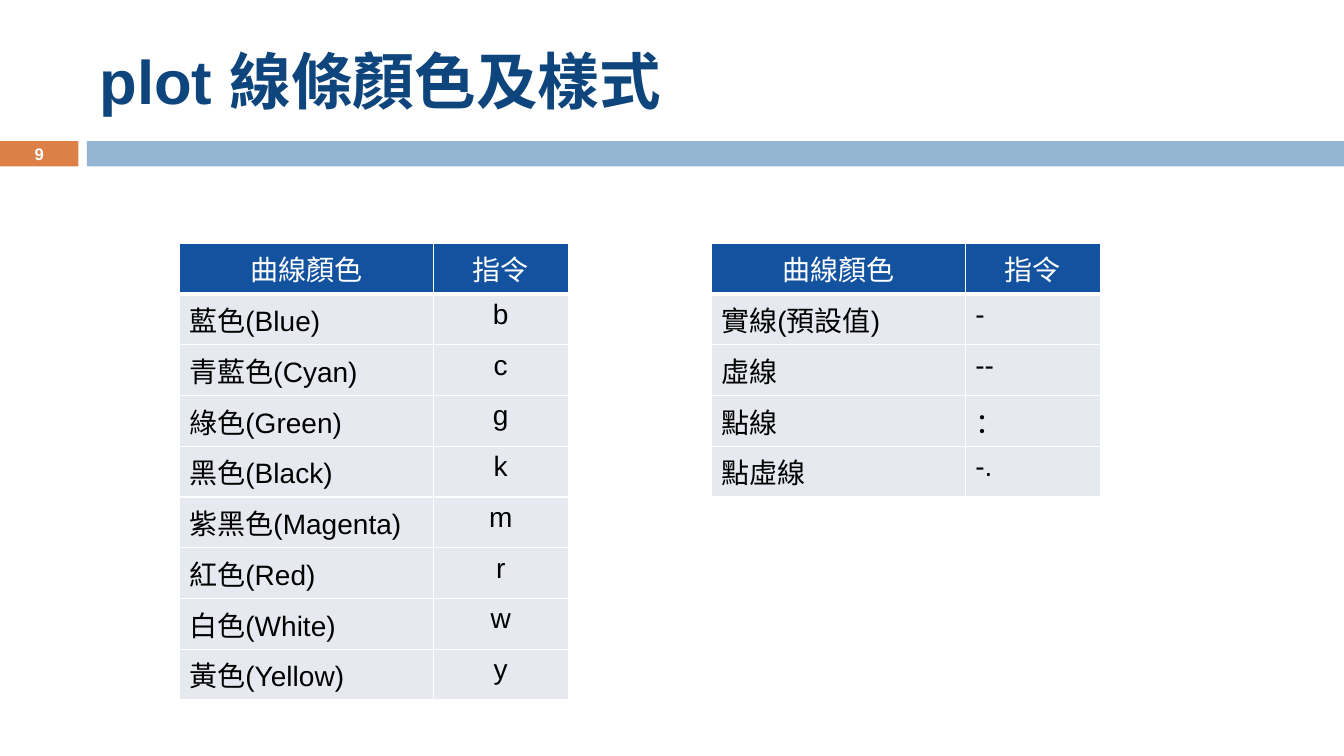
from lxml import etree
from pptx import Presentation
from pptx import util as u
from pptx.dml.color import RGBColor
from pptx.enum import shapes, text
from pptx.oxml.ns import qn

COLORS = {"orange": "DD8047", "sky": "94B6D2", "title": "0E457D", "head": "12529F",
          "body": "E7E9F0", "white": "FFFFFF", "black": "000000"}
LEFT, CENTER = text.PP_ALIGN.LEFT, text.PP_ALIGN.CENTER

prs = Presentation()
prs.slide_width, prs.slide_height = u.Inches(13.33), u.Inches(7.5)
COL, ROW = prs.slide_width / 120, prs.slide_height / 60
s = prs.slides.add_slide(prs.slide_layouts[6])


def grid(left, top, width, height):
    """Turn grid columns and rows into slide lengths."""
    return int(left * COL), int(top * ROW), int(width * COL), int(height * ROW)


def write(tf, words, size, color, align=LEFT, bold=False, before=0):
    p = tf.paragraphs[0]
    p.alignment, p.space_before = align, u.Pt(before)
    r = p.add_run()
    r.text = words
    for name, value in {"name": "Arial", "size": u.Pt(size), "bold": bold}.items():
        setattr(r.font, name, value)
    r.font.color.rgb = RGBColor.from_string(COLORS[color])


# Band under the title
for left, width, color in [(0, 7, "orange"), (7.75, 112.25, "sky")]:
    sp = s.shapes.add_shape(shapes.MSO_SHAPE.RECTANGLE, *grid(left, 11.2, width, 2))
    sp.shadow.inherit = False
    sp.fill.solid()
    sp.fill.fore_color.rgb = RGBColor.from_string(COLORS[color])
    sp.line.fill.background()

# Title and page number
for box, words, size, color, align in [
    ((8, 2, 107, 8.64), "plot 線條顏色及樣式", 44, "title", LEFT),
    ((0, 11.12, 7, 2.16), "9", 11.9, "white", CENTER),
]:
    tf = s.shapes.add_textbox(*grid(*box)).text_frame
    tf.word_wrap = True
    tf.vertical_anchor = text.MSO_ANCHOR.MIDDLE
    write(tf, words, size, color, align, bold=True)

# Tables: left column, alignment of the commands, body rows
HEADER = ("曲線顏色", "指令")
line_colors = [("藍色(Blue)", "b"), ("青藍色(Cyan)", "c"), ("綠色(Green)", "g"),
               ("黑色(Black)", "k"), ("紫黑色(Magenta)", "m"), ("紅色(Red)", "r"),
               ("白色(White)", "w"), ("黃色(Yellow)", "y")]
line_styles = [("實線(預設值)", "-"), ("虛線", "--"), ("點線", "："), ("點虛線", "-.")]
COLUMN_WIDTHS, ROW_HEIGHT = (22.68, 12.06), 4.03

for left, command_align, body in [(16, CENTER, line_colors), (63.5, LEFT, line_styles)]:
    rows = [HEADER, *body]
    box = grid(left, 19.3, sum(COLUMN_WIDTHS), ROW_HEIGHT * len(rows))
    table = s.shapes.add_table(len(rows), 2, *box).table
    for column, width in zip(table.columns, COLUMN_WIDTHS):
        column.width = int(width * COL)
    for i, row in enumerate(rows):
        table.rows[i].height = int(ROW_HEIGHT * ROW)
        fill, color = ("body", "black") if i else ("head", "white")
        for j, words in enumerate(row):
            cell = table.cell(i, j)
            cell.fill.solid()
            cell.fill.fore_color.rgb = RGBColor.from_string(COLORS[fill])
            align = (LEFT, command_align)[j] if i else CENTER
            write(cell.text_frame, words, 20, color, align, before=4)
            # Thick rule between the header and the body
            weights = {"L": 1, "R": 1, "T": 3 if i == 1 else 1, "B": 1 if i else 3}
            tcPr = cell._tc.get_or_add_tcPr()
            for k, (side, weight) in enumerate(weights.items()):
                ln = etree.Element(qn(f"a:ln{side}"), w=str(u.Pt(weight)))
                solid = etree.SubElement(ln, qn("a:solidFill"))
                etree.SubElement(solid, qn("a:srgbClr"), val=COLORS["white"])
                tcPr.insert(k, ln)

prs.save("out.pptx")
